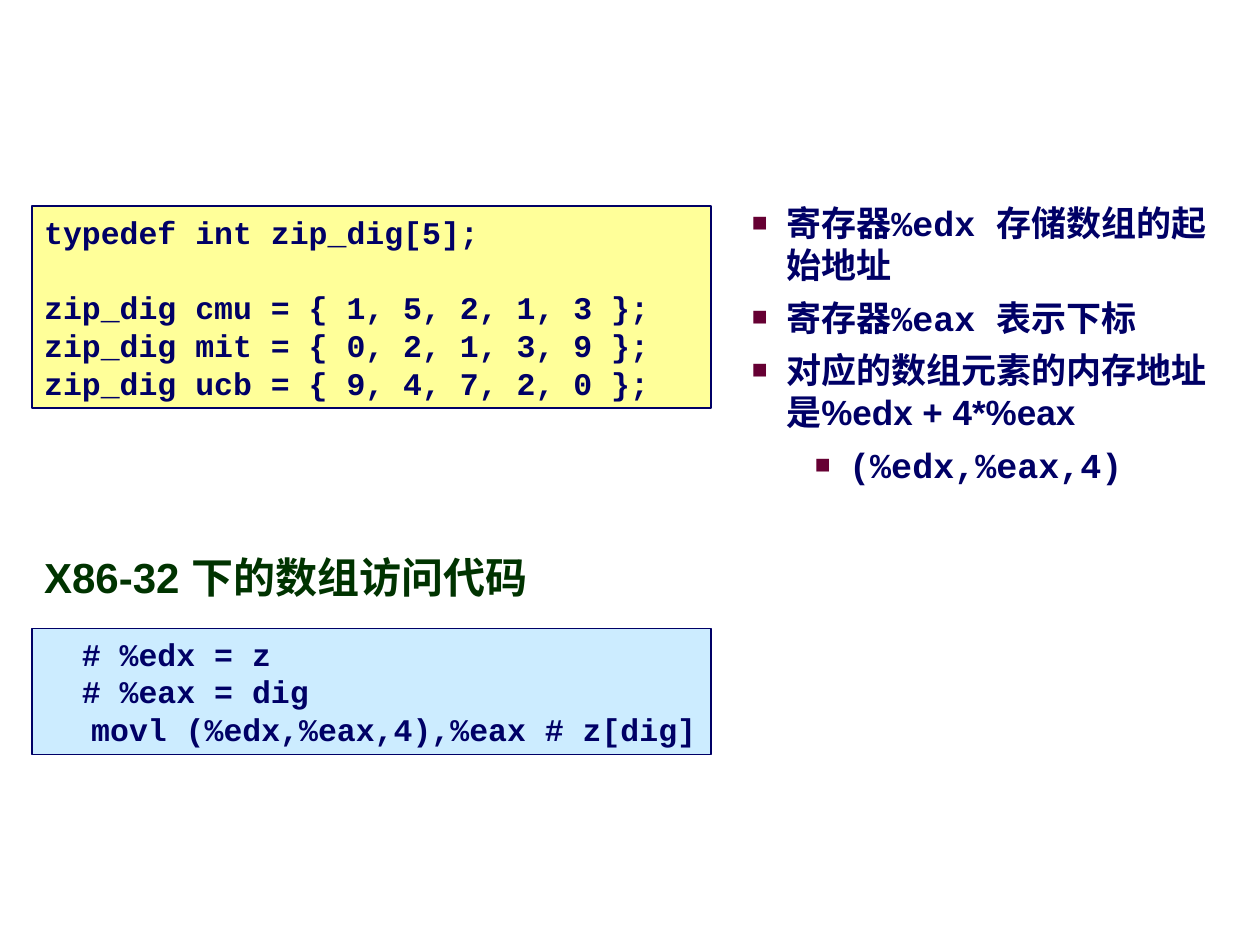
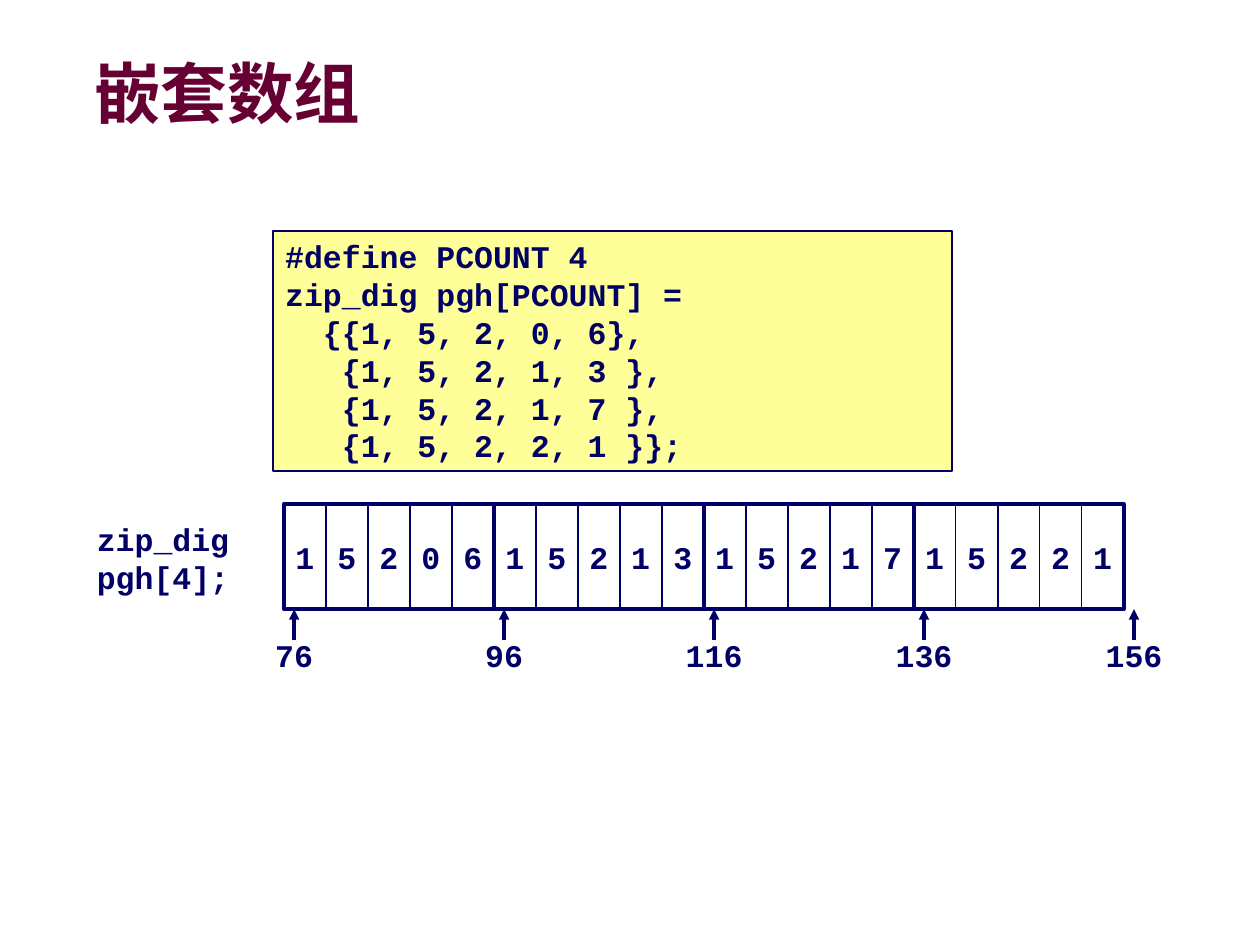
from lxml import etree
from pptx import Presentation
from pptx.dml.color import RGBColor
from pptx.enum.shapes import MSO_CONNECTOR, MSO_SHAPE
from pptx.enum.text import MSO_ANCHOR, PP_ALIGN
from pptx.oxml import parse_xml
from pptx.oxml.ns import nsdecls, qn
from pptx.util import Cm, Pt

RECTANGLE = MSO_SHAPE.RECTANGLE
STRAIGHT = MSO_CONNECTOR.STRAIGHT
MIDDLE, TOP = MSO_ANCHOR.MIDDLE, MSO_ANCHOR.TOP
LEFT, CENTER, RIGHT = PP_ALIGN.LEFT, PP_ALIGN.CENTER, PP_ALIGN.RIGHT

COLORS = {
    "ink": "000066",
    "title": "660033",
    "heading": "003300",
    "c_code": "FFFF99",
    "assembly": "CCECFF",
    "cell": "FFFFFF",
    "shadow": "969696",
}
SANS, MONO = "Arial", "Courier New"
CODE_SIZE = 18
CODE_WIDTH = 13.69

ARRAY_CODE = [
    "typedef int zip_dig[5];",
    "zip_dig cmu = { 1, 5, 2, 1, 3 };",
    "zip_dig mit = { 0, 2, 1, 3, 9 };",
    "zip_dig ucb = { 9, 4, 7, 2, 0 };",
]
ACCESS_HEADING = "X86-32 下的数组访问代码"
ACCESS_CODE = [
    "  # %edx = z",
    "  # %eax = dig",
    "movl (%edx,%eax,4),%eax # z[dig]",
]
REGISTER_NOTES = [
    (2.06, [("寄存器%edx ", MONO), ("存储数组的起始地址", SANS)]),
    (2.06, [("寄存器%eax ", MONO), ("表示下标", SANS)]),
    (2.06, [("对应的数组元素的内存地址是%edx + 4*%eax", SANS)]),
    (3.33, [("(%edx,%eax,4)", MONO)]),
]

NESTED_TITLE = "嵌套数组"
NESTED_CODE = [
    "#define PCOUNT 4",
    "zip_dig pgh[PCOUNT] =",
    "  {{1, 5, 2, 0, 6},",
    "   {1, 5, 2, 1, 3 },",
    "   {1, 5, 2, 1, 7 },",
    "   {1, 5, 2, 2, 1 }};",
]
NESTED_LABEL = ["zip_dig", "pgh[4];"]
NESTED_ROWS = ["15206", "15213", "15217", "15221"]
FIRST_ADDRESS, ROW_BYTES = 76, 20


def color(name):
    return RGBColor.from_string(COLORS[name])


def format_font(font, name, size, color_name="ink"):
    font.name = name
    font.size = Pt(size)
    font.bold = True
    font.color.rgb = color(color_name)


def write_lines(shape, lines, name=MONO, size=CODE_SIZE, color_name="ink",
                align=LEFT, anchor=TOP, wrap=True):
    frame = shape.text_frame
    frame.text = "\n".join(lines)
    frame.word_wrap = wrap
    frame.vertical_anchor = anchor
    for paragraph in frame.paragraphs:
        paragraph.alignment = align
        for run in paragraph.runs:
            format_font(run.font, name, size, color_name)
    return frame


def add_text(slide, box, lines, **style):
    return write_lines(slide.shapes.add_textbox(*map(Cm, box)), lines, **style)


def add_box(slide, box, fill=None, line_width=1):
    shape = slide.shapes.add_shape(RECTANGLE, *map(Cm, box))
    shape.shadow.inherit = False
    if fill:
        shape.fill.solid()
        shape.fill.fore_color.rgb = color(fill)
    else:
        shape.fill.background()
    shape.line.color.rgb = color("ink")
    shape.line.width = Pt(line_width)
    return shape


def add_code(slide, left, top, height, lines, fill):
    return write_lines(add_box(slide, (left, top, CODE_WIDTH, height), fill), lines)


def set_indent(paragraph, margin, hanging=0):
    properties = paragraph._p.get_or_add_pPr()
    properties.set("marL", str(Cm(margin)))
    properties.set("indent", str(-Cm(hanging)))
    return properties


def add_bullet(paragraph, margin):
    properties = set_indent(paragraph, margin, 0.69)
    bullet_color = etree.SubElement(properties, qn("a:buClr"))
    etree.SubElement(bullet_color, qn("a:srgbClr"), val=COLORS["title"])
    etree.SubElement(properties, qn("a:buSzPct"), val="75000")
    etree.SubElement(properties, qn("a:buFont"), typeface=SANS)
    etree.SubElement(properties, qn("a:buChar"), char="■")


def add_notes(slide, box, notes):
    frame = slide.shapes.add_textbox(*map(Cm, box)).text_frame
    frame.word_wrap = True
    for index, (margin, parts) in enumerate(notes):
        paragraph = frame.add_paragraph() if index else frame.paragraphs[0]
        add_bullet(paragraph, margin)
        paragraph.space_before = Pt(6.2 if index else 0)
        for text, name in parts:
            run = paragraph.add_run()
            run.text = text
            format_font(run.font, name, 20)


def add_title(slide, text):
    frame = add_text(slide, (1.9, 1.17, 17.7, 1.6), [text], name=SANS, size=38,
                     color_name="title", anchor=MIDDLE)
    frame.margin_left = frame.margin_right = frame.margin_top = frame.margin_bottom = 0
    paragraph = frame.paragraphs[0]
    paragraph.line_spacing = 0.87
    fill = paragraph.runs[0]._r.rPr.find(qn("a:solidFill"))
    fill.addnext(parse_xml(
        f'<a:effectLst {nsdecls("a")}><a:outerShdw dist="38100" dir="2700000">'
        f'<a:srgbClr val="{COLORS["shadow"]}"/></a:outerShdw></a:effectLst>'))


def add_arrow(slide, x, start, end):
    arrow = slide.shapes.add_connector(STRAIGHT, Cm(x), Cm(start), Cm(x), Cm(end))
    arrow.line.color.rgb = color("ink")
    arrow.line.width = Pt(2)
    etree.SubElement(arrow.line._get_or_add_ln(), qn("a:tailEnd"), type="triangle")
    etree.SubElement(arrow._element.spPr, qn("a:effectLst"))


def add_memory(slide, left, top, width, height, rows):
    row_width = width / len(rows)
    cell_width = row_width / len(rows[0])
    for index in range(len(rows) + 1):
        address = str(FIRST_ADDRESS + index * ROW_BYTES)
        x = left + 0.21 + index * row_width
        label_width = 0.51 + 0.38 * len(address)
        add_arrow(slide, x, top + height + 0.63, top + height)
        add_text(slide, (x - label_width / 2, 12.7, label_width, 1.02), [address],
                 align=CENTER, wrap=False)
    for index, digit in enumerate("".join(rows)):
        cell = add_box(slide, (left + index * cell_width, top, cell_width, height), "cell")
        write_lines(cell, [digit], align=CENTER, anchor=MIDDLE, wrap=False)
    for index in range(len(rows)):
        add_box(slide, (left + index * row_width, top, row_width, height), line_width=2.25)


def build_access_slide(slide):
    declarations = add_code(slide, 0.64, 4.16, 4.06, ARRAY_CODE, "c_code")
    declarations.paragraphs[1].space_before = Pt(21.6)
    heading = add_text(slide, (0.64, 11.07, 13.54, 1.63), [ACCESS_HEADING],
                       name=SANS, size=24, color_name="heading")
    heading.paragraphs[0].line_spacing = 0.95
    access = add_code(slide, 0.64, 12.67, 2.54, ACCESS_CODE, "assembly")
    set_indent(access.paragraphs[2], 0.95)
    add_notes(slide, (13.54, 3.93, 11.43, 7.07), REGISTER_NOTES)


def build_nested_slide(slide):
    add_title(slide, NESTED_TITLE)
    add_code(slide, 5.5, 4.66, 4.83, NESTED_CODE, "c_code")
    add_text(slide, (1.69, 10.36, 3.18, 1.78), NESTED_LABEL, align=RIGHT, wrap=False)
    add_memory(slide, 5.72, 10.16, 16.93, 2.12, NESTED_ROWS)


def main():
    presentation = Presentation()
    presentation.slide_width, presentation.slide_height = Cm(25.4), Cm(19.05)
    blank = presentation.slide_layouts[6]
    for build in (build_access_slide, build_nested_slide):
        build(presentation.slides.add_slide(blank))
    presentation.save("out.pptx")


if __name__ == "__main__":
    main()
